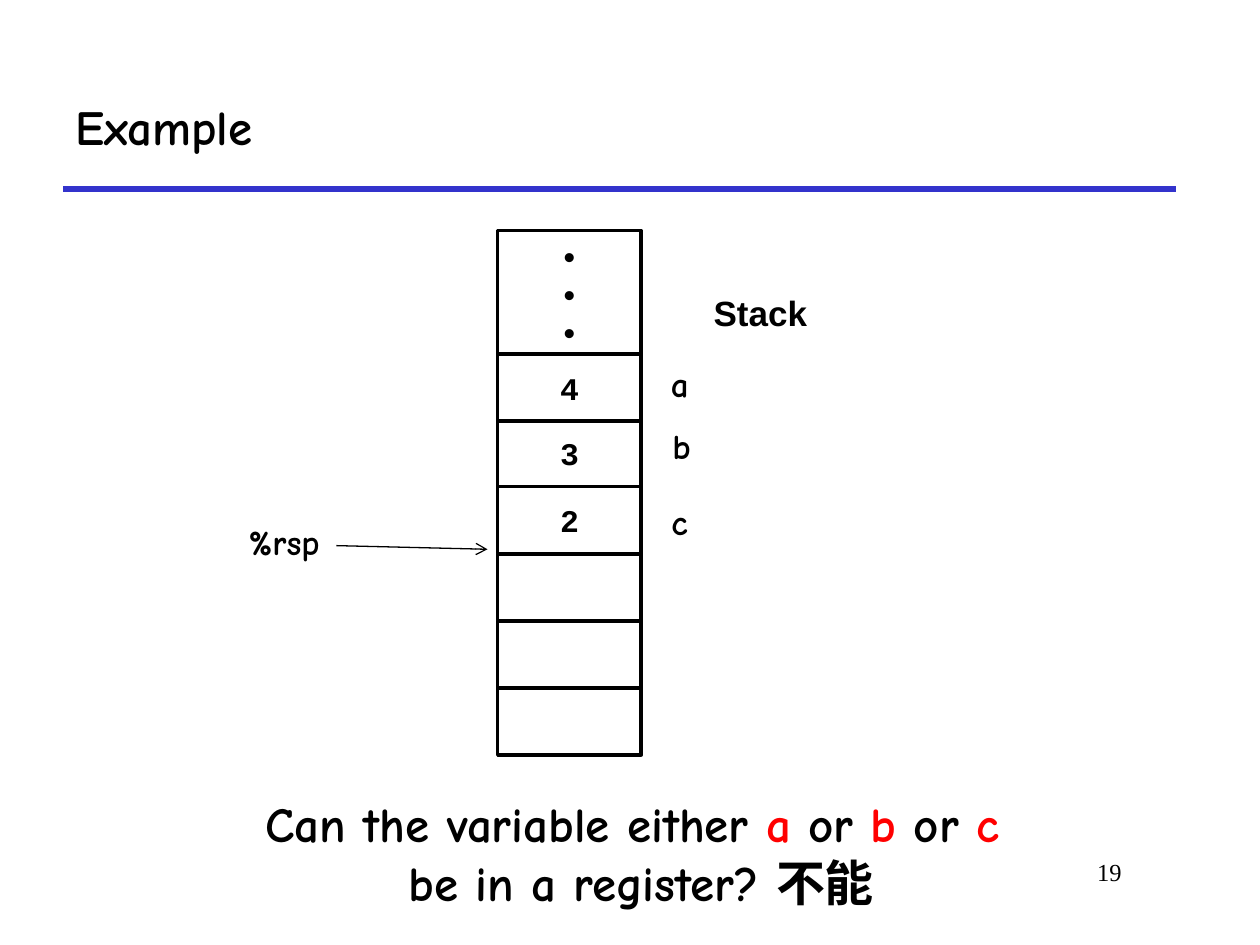
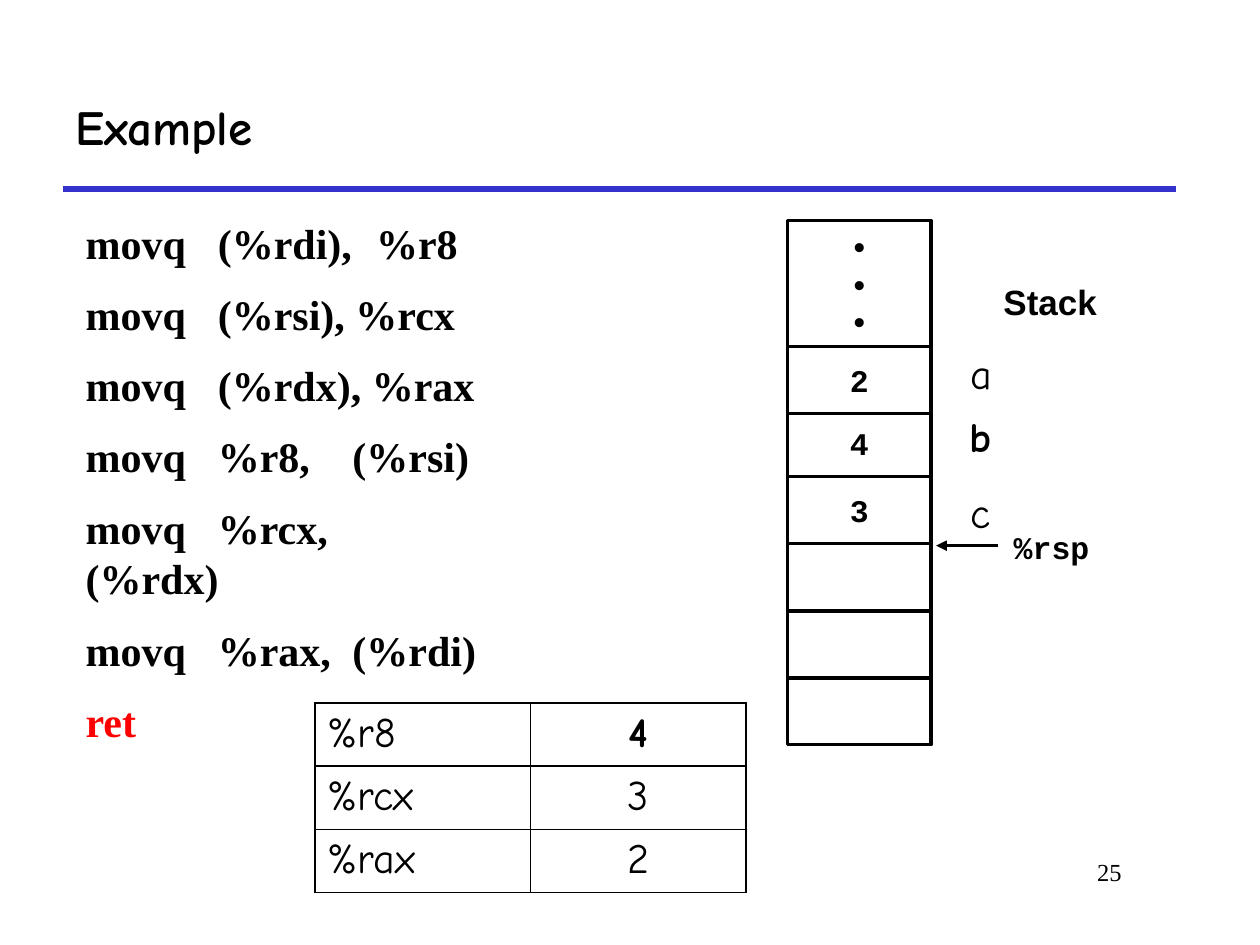
"""Build two slides that trace stack and register contents in a swap example."""
from lxml import etree
from pptx import Presentation
from pptx.dml.color import RGBColor
from pptx.enum.shapes import MSO_CONNECTOR, MSO_SHAPE
from pptx.enum.text import MSO_ANCHOR, MSO_AUTO_SIZE, PP_ALIGN
from pptx.oxml.ns import qn
from pptx.util import Pt

COLORS = {"text": "000000", "rule": "3333CC", "accent": "FF0000", "paper": "FFFFFF"}
HAND, MONO, SANS, SERIF = "Comic Neue", "Courier New", "Arial", "Times New Roman"

TITLE = "Example"
CELL_W, CELL_H, CELL_STEP = 82, 38.2, 38.35
EMPTY_CELLS = 3

STACK_BEFORE = {"left": 284.4, "dots": 131.8, "first": 202.3, "second": 239.8,
                "values": ["4", "3", "2"]}
STACK_AFTER = {"left": 450, "dots": 126, "first": 198, "second": 234,
               "values": ["2", "4", "3"]}

VARIABLE_LABELS = [
    ("a", (375.1, 203.8, 26.6, 36.7)),
    ("b", (375.1, 239, 28.8, 36.7)),
    ("c", (375.8, 282.2, 25.2, 31.7)),
    ("%rsp", (131.8, 293.8, 61.2, 31.7)),
]
QUESTION = [
    [("Can the variable either ", "text"), ("a ", "accent"), ("or ", "text"),
     ("b ", "accent"), ("or ", "text"), ("c ", "accent")],
    [("be in a register? 不能", "text")],
]
CODE = [
    ("movq\t(%rdi),\t%r8", 166, "text"),
    ("movq\t(%rsi), %rcx", None, "text"),
    ("movq\t(%rdx), %rax", None, "text"),
    ("movq\t%r8,\t(%rsi)", 152.5, "text"),
    ("movq\t%rcx,\v(%rdx)", None, "text"),
    ("movq\t%rax,\t(%rdi)", 152.5, "text"),
    ("ret", None, "accent"),
]
OPERAND_STOP = 75.6
VARIABLES = [[("a", False)], [("b", True)], [("c", False)]]
REGISTERS = [[("%r8", False), ("4", True)],
             [("%rcx", False), ("3", False)],
             [("%rax", False), ("2", False)]]


def rgb(name):
    return RGBColor.from_string(COLORS[name])


def pts(*values):
    return [Pt(v) for v in values]


def add_run(p, text, font, size, color="text", bold=True):
    r = p.add_run()
    r.text = text
    r.font.name, r.font.size, r.font.bold = font, Pt(size), bold
    r.font.color.rgb = rgb(color)


def fill_lines(tf, lines, font, size, bold=True, align=PP_ALIGN.CENTER):
    for i, runs in enumerate(lines):
        p = tf.add_paragraph() if i else tf.paragraphs[0]
        p.alignment = align
        for text, color in runs:
            add_run(p, text, font, size, color, bold)


def add_label(s, box, lines, font, size, bold=True, align=PP_ALIGN.CENTER, wrap=False):
    tf = s.shapes.add_textbox(*pts(*box)).text_frame
    tf.word_wrap = wrap
    if not wrap:
        tf.auto_size = MSO_AUTO_SIZE.SHAPE_TO_FIT_TEXT
    fill_lines(tf, lines, font, size, bold, align)


def add_line(s, ends, color, width, head=None):
    line = s.shapes.add_connector(MSO_CONNECTOR.STRAIGHT, *pts(*ends))
    line.line.color.rgb = rgb(color)
    line.line.width = Pt(width)
    if head:
        etree.SubElement(line.line._get_or_add_ln(), qn("a:tailEnd"), type=head)
    etree.SubElement(line._element.spPr, qn("a:effectLst"))


def add_box(s, left, top, height, lines, font):
    sp = s.shapes.add_shape(MSO_SHAPE.RECTANGLE, *pts(left, top, CELL_W, height))
    sp.shadow.inherit = False
    sp.fill.solid()
    sp.fill.fore_color.rgb = rgb("paper")
    sp.line.color.rgb = rgb("text")
    sp.line.width = Pt(2)
    tf = sp.text_frame
    tf.word_wrap = False
    tf.vertical_anchor = MSO_ANCHOR.MIDDLE
    fill_lines(tf, [[(text, "text")] for text in lines], font, 18)


def add_stack(s, stack):
    left = stack["left"]
    add_box(s, left, stack["dots"], 72, ["•"] * 3, SANS)
    cells = [[value] for value in stack["values"]] + [[]] * EMPTY_CELLS
    tops = [stack["first"]] + [stack["second"] + i * CELL_STEP for i in range(len(cells) - 1)]
    for top, lines in reversed(list(zip(tops, cells))):
        add_box(s, left, top, CELL_H, lines, MONO)
    add_label(s, (left + 110.9, stack["dots"] + 31, 78.5, 36), [[("Stack", "text")]], SANS, 20)


def add_border(cell):
    tc_pr = cell._tc.get_or_add_tcPr()
    for i, side in enumerate(("lnL", "lnR", "lnT", "lnB")):
        ln = etree.Element(qn(f"a:{side}"), w=str(Pt(1)))
        fill = etree.SubElement(ln, qn("a:solidFill"))
        etree.SubElement(fill, qn("a:srgbClr"), val=COLORS["text"])
        tc_pr.insert(i, ln)


def add_grid(s, box, rows, heights, bordered):
    table = s.shapes.add_table(len(rows), len(rows[0]), *pts(*box)).table
    table.first_row = table.horz_banding = False
    for i, (row, height) in enumerate(zip(rows, heights)):
        table.rows[i].height = Pt(height)
        for j, (text, bold) in enumerate(row):
            cell = table.cell(i, j)
            if bordered:
                cell.fill.background()
                add_border(cell)
            else:
                cell.fill.solid()
                cell.fill.fore_color.rgb = rgb("paper")
            p = cell.text_frame.paragraphs[0]
            p.alignment = PP_ALIGN.LEFT if text.startswith("%") else PP_ALIGN.CENTER
            add_run(p, text, HAND, 24, bold=bold)


def add_code(s):
    tf = s.shapes.add_textbox(*pts(41.8, 120.2, 246.2, 298)).text_frame
    tf.word_wrap = True
    for i, (text, second_stop, color) in enumerate(CODE):
        p = tf.add_paragraph() if i else tf.paragraphs[0]
        p.line_spacing = Pt(29.1)
        p.space_before = Pt(11.6 if i else 0)
        tabs = etree.SubElement(p._p.get_or_add_pPr(), qn("a:tabLst"))
        for stop in (OPERAND_STOP, second_stop):
            if stop:
                etree.SubElement(tabs, qn("a:tab"), pos=str(Pt(stop)), algn="l")
        for k, part in enumerate(text.split("\v")):
            if k:
                p.add_line_break()
            add_run(p, part, SERIF, 24, color)


def add_slide(prs, number):
    s = prs.slides.add_slide(prs.slide_layouts[5])
    add_line(s, (36, 108, 672, 108), "rule", 3)
    title = s.shapes.title
    title.left, title.top, title.width, title.height = pts(36, 36, 636, 72)
    tf = title.text_frame
    tf.vertical_anchor = MSO_ANCHOR.MIDDLE
    fill_lines(tf, [[(TITLE, "text")]], HAND, 28, align=PP_ALIGN.LEFT)
    add_label(s, (546, 486, 102, 36), [[(number, "text")]], SERIF, 14,
              bold=False, align=PP_ALIGN.RIGHT, wrap=True)
    return s


def build_question_slide(prs):
    s = add_slide(prs, "19")
    add_stack(s, STACK_BEFORE)
    for text, box in VARIABLE_LABELS:
        add_label(s, box, [[(text, "text")]], HAND, 20)
    add_line(s, (192.2, 311.8, 278.6, 313.9), "text", 0.75, "arrow")
    add_label(s, (113, 450, 506.9, 74.9), QUESTION, HAND, 28)


def build_code_slide(prs):
    s = add_slide(prs, "25")
    add_grid(s, (536.4, 197.3, 48.2, 123.8), VARIABLES, (36, 43.2, 44.6), False)
    add_code(s)
    add_stack(s, STACK_AFTER)
    add_label(s, (571.7, 298.1, 58.3, 28.8), [[("%rsp", "text")]], MONO, 18)
    add_line(s, (570.2, 311.8, 535, 311.8), "text", 2, "triangle")
    add_grid(s, (180, 401.8, 246.2, 108), REGISTERS, (36, 36, 36), True)


def main():
    prs = Presentation()
    prs.slide_width, prs.slide_height = pts(720, 540)
    build_question_slide(prs)
    build_code_slide(prs)
    prs.save("out.pptx")


if __name__ == "__main__":
    main()
